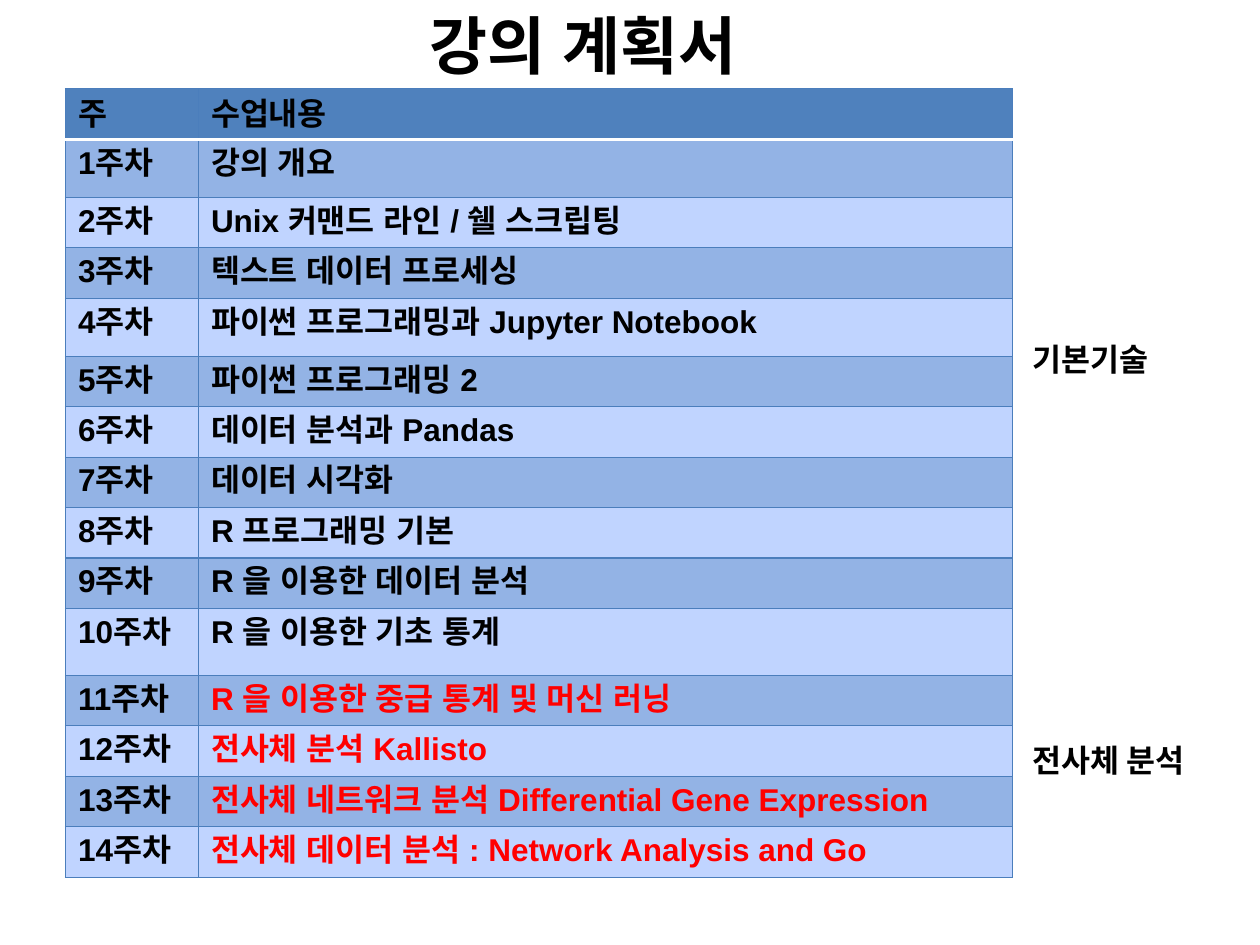
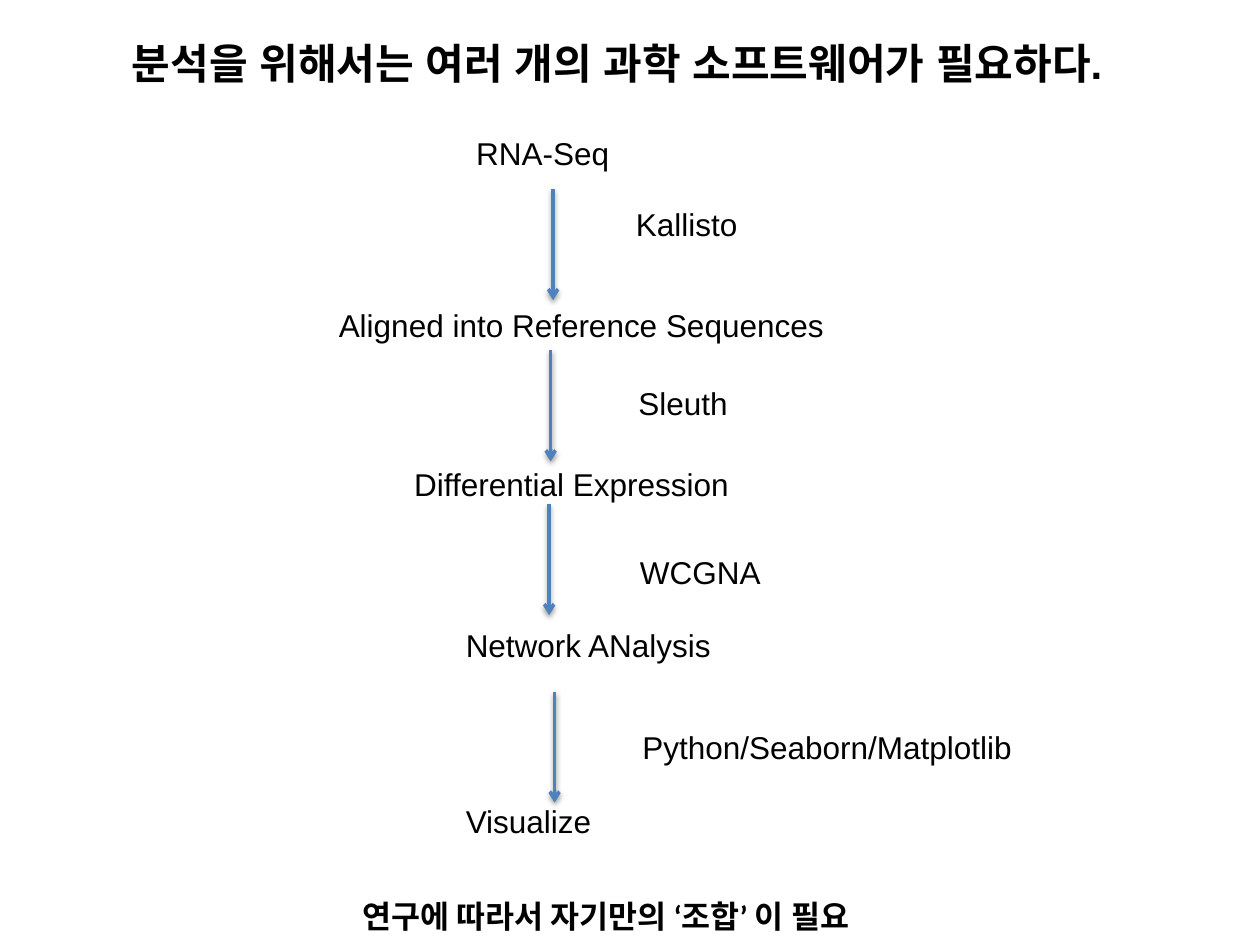
from lxml.etree import SubElement
from pptx import Presentation
from pptx.dml.color import RGBColor
from pptx.enum.shapes import MSO_CONNECTOR as Connector
from pptx.enum.text import MSO_AUTO_SIZE as AutoSize
from pptx.oxml import parse_xml
from pptx.oxml.ns import nsdecls, qn
from pptx.util import Cm, Pt

COLORS = {
    "text": "000000",
    "accent": "FF0000",
    "blue": "4F81BD",
    "border": "4B7EBC",
    "white": "FFFFFF",
    "dark_row": "93B3E5",
    "light_row": "C0D4FF",
}
LINE_HEIGHT = 1.02
ROW_HEIGHT = 0.94
COLUMN_WIDTHS = (2.68, 16.41)
TALL_ROWS = {1: 1.17, 4: 1.17, 10: 1.35}
FIRST_ACCENT_WEEK = 11
TOPICS = (
    "강의 개요",
    "Unix 커맨드 라인 / 쉘 스크립팅",
    "텍스트 데이터 프로세싱",
    "파이썬 프로그래밍과 Jupyter Notebook",
    "파이썬 프로그래밍 2",
    "데이터 분석과 Pandas",
    "데이터 시각화",
    "R 프로그래밍 기본",
    "R 을 이용한 데이터 분석",
    "R 을 이용한 기초 통계",
    "R 을 이용한 중급 통계 및 머신 러닝",
    "전사체 분석 Kallisto",
    "전사체 네트워크 분석 Differential Gene Expression",
    "전사체 데이터 분석 : Network Analysis and Go",
)
STEPS = (
    ("RNA-Seq", 2.77, 0, 3.23),
    ("Aligned into Reference Sequences", 0, 3.48, 10.41),
    ("Differential Expression", 1.52, 6.68, 6.91),
    ("Network ANalysis", 2.56, 9.93, 5.51),
    ("Visualize", 2.56, 13.48, 3.1),
)
TOOLS = (
    ("Kallisto", 5.99, 1.44, 2.77),
    ("Sleuth", 6.04, 5.05, 2.34),
    ("WCGNA", 6.07, 8.45, 2.97),
    ("Python/Seaborn/Matplotlib", 6.12, 11.98, 8.03),
)
ARROWS = ((4.57, 1.24), (4.52, 4.49), (4.49, 7.59), (4.6, 11.37))
ARROW_LENGTH = 2.24


def color(name):
    """Return the named palette colour."""
    return RGBColor.from_string(COLORS[name])


def style_text(para, size=18, face="Arial", bold=False, ink="text"):
    """Set the font of a whole paragraph, for Latin and Korean alike."""
    font = para.font
    font.size, font.name, font.bold = Pt(size), face, bold
    font.color.rgb = color(ink)
    SubElement(font._rPr, qn("a:ea"), typeface=face)


def add_label(page, text, left, top, width, height=LINE_HEIGHT, **style):
    """Add a one-line text box that fits its text."""
    box = page.shapes.add_textbox(Cm(left), Cm(top), Cm(width), Cm(height))
    frame = box.text_frame
    frame.word_wrap = False
    frame.auto_size = AutoSize.SHAPE_TO_FIT_TEXT
    frame.text = text
    style_text(frame.paragraphs[0], **style)


def add_title(page, text, left, top, width, height, size):
    """Add the bold slide title."""
    add_label(page, text, left, top, width, height, size=size, bold=True)


def add_note(page, text, left, top, width):
    """Add a bold remark beside or below the main content."""
    add_label(page, text, left, top, width, face="Calibri", bold=True)


def set_border(cell, side, ink, points):
    """Draw one side of a table cell."""
    line = SubElement(cell._tc.get_or_add_tcPr(), qn(f"a:ln{side}"), w=str(Pt(points)))
    fill = SubElement(line, qn("a:solidFill"))
    SubElement(fill, qn("a:srgbClr"), val=COLORS[ink])


def fill_cell(cell, text, row, ink):
    """Write and decorate one cell of the schedule."""
    cell.text = text
    face = "Arial" if row else "Calibri"
    style_text(cell.text_frame.paragraphs[0], face=face, bold=True, ink=ink)
    for side in "LRTB":
        under_header = (row, side) in ((0, "B"), (1, "T"))
        set_border(cell, side, *(("white", 2) if under_header else ("border", 0.75)))
    cell.fill.solid()
    band = "dark_row" if row % 2 else "light_row"
    cell.fill.fore_color.rgb = color(band if row else "blue")


def add_schedule(page, left, top):
    """Add the weekly schedule table."""
    rows = [("주", "수업내용")]
    rows += [(f"{week}주차", topic) for week, topic in enumerate(TOPICS, 1)]
    heights = [TALL_ROWS.get(row, ROW_HEIGHT) for row in range(len(rows))]
    table = page.shapes.add_table(
        len(rows), len(COLUMN_WIDTHS), Cm(left), Cm(top),
        Cm(sum(COLUMN_WIDTHS)), Cm(sum(heights)),
    ).table
    for column, width in zip(table.columns, COLUMN_WIDTHS):
        column.width = Cm(width)
    for row, (texts, height) in enumerate(zip(rows, heights)):
        table.rows[row].height = Cm(height)
        topic_ink = "accent" if row >= FIRST_ACCENT_WEEK else "text"
        for column, (text, ink) in enumerate(zip(texts, ("text", topic_ink))):
            fill_cell(table.cell(row, column), text, row, ink)


def add_arrow(page, left, top):
    """Add a downward arrow with a soft shadow."""
    arrow = page.shapes.add_connector(
        Connector.STRAIGHT, Cm(left), Cm(top), Cm(left), Cm(top + ARROW_LENGTH)
    )
    arrow.line.color.rgb = color("blue")
    arrow.line.width = Pt(2)
    SubElement(arrow.line._get_or_add_ln(), qn("a:tailEnd"), type="arrow")
    arrow._element.spPr.append(parse_xml(
        f'<a:effectLst {nsdecls("a")}>'
        f'<a:outerShdw blurRad="{Pt(3.1)}" dist="{Pt(1.6)}" dir="5400000" rotWithShape="0">'
        f'<a:srgbClr val="{COLORS["text"]}"><a:alpha val="38000"/></a:srgbClr>'
        "</a:outerShdw></a:effectLst>"
    ))


def add_workflow(page, left, top):
    """Add the analysis steps, the arrows between them and their tools."""
    for text, across, down, width in STEPS + TOOLS:
        add_label(page, text, left + across, top + down, width)
    for across, down in ARROWS:
        add_arrow(page, left + across, top + down)


def build_schedule_page(page):
    """Build the course plan slide."""
    add_title(page, "강의 계획서", 8.41, 0, 7.65, 1.8, size=36)
    add_schedule(page, 1.32, 1.79)
    add_note(page, "기본기술", 20.57, 6.73, 3.07)
    add_note(page, "전사체 분석", 20.57, 14.81, 3.86)


def build_workflow_page(page):
    """Build the software workflow slide."""
    title = "분석을 위해서는 여러 개의 과학 소프트웨어가 필요하다."
    add_title(page, title, 2.41, 0.64, 22.07, 1.27, size=24)
    add_workflow(page, 6.58, 2.57)
    add_note(page, "연구에 따라서 자기만의 ‘조합’ 이 필요", 7.06, 17.96, 12.5)


def main():
    """Build and save the deck."""
    deck = Presentation()
    deck.slide_width, deck.slide_height = Cm(25.4), Cm(19.05)
    for build in (build_schedule_page, build_workflow_page):
        build(deck.slides.add_slide(deck.slide_layouts[6]))
    deck.save("out.pptx")


if __name__ == "__main__":
    main()
